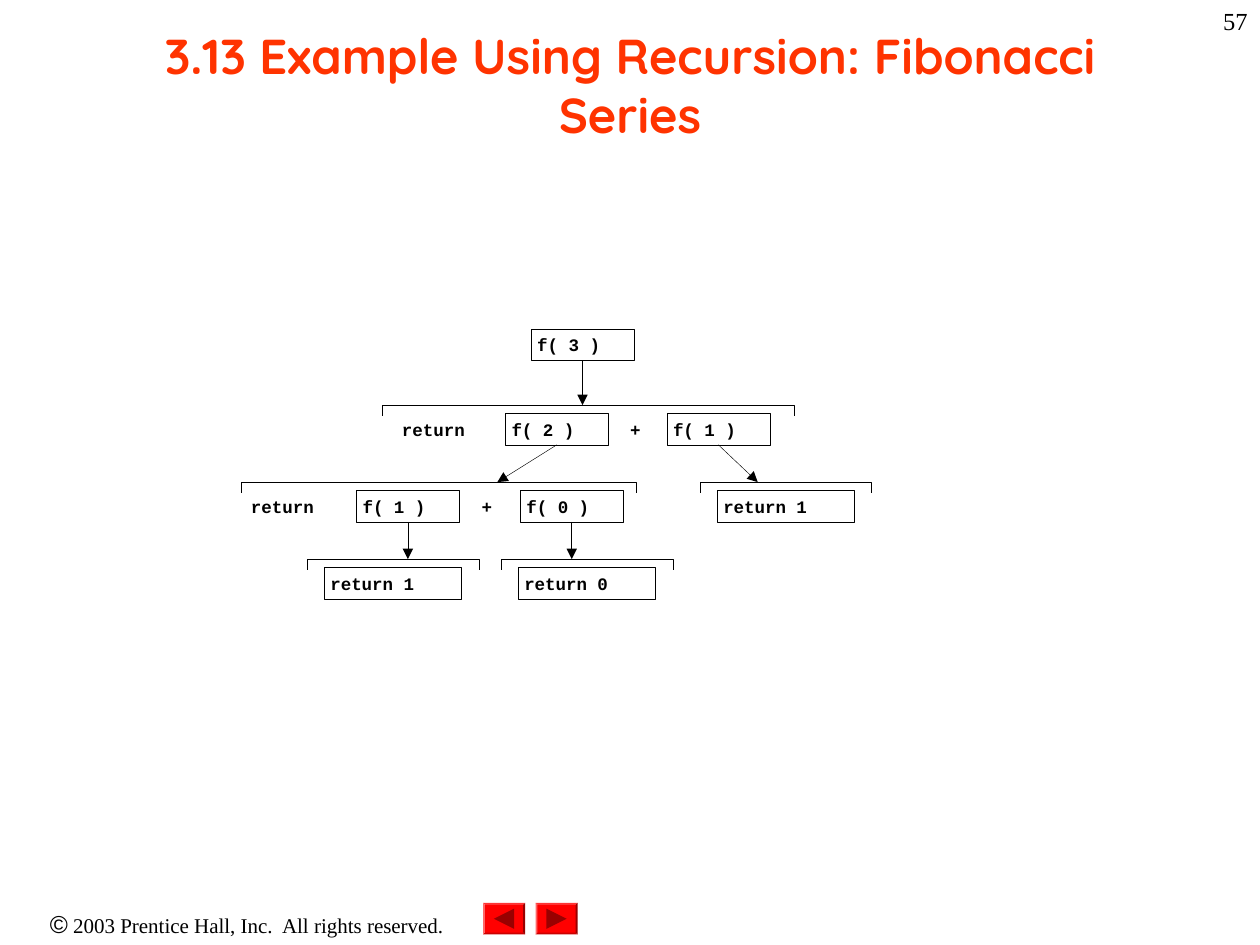
from pptx import Presentation
from pptx.dml.color import RGBColor
from pptx.enum import shapes, text
from pptx.oxml import parse_xml
from pptx.oxml.ns import nsdecls
from pptx.util import Pt

THEME = {
    "ink": "000000", "title": "FF3300", "button": "FF0000", "glyph": "990000",
    "head": ("Quicksand", 28), "code": ("Courier New", 10),
    "body": ("Times New Roman", 12), "page": ("Times New Roman", 14),
    "mark": ("Arial", 14), "rule": 0.25,
}
TITLE = "3.13 Example Using Recursion: Fibonacci Series"
RIGHTS = [("©", "mark"), (" 2003 Prentice Hall, Inc.  All rights reserved.", "body")]
PAGE = "57"

ROWS = [188, 236.2, 280.2, 324.2]
HIGH, LIFT, DROP = 18, 4.7, 6
CALL, VALUE = 59, 78.5

BOXES = {
    "f3": ("f( 3 )", 0, 303.4, CALL),
    "f2": ("f( 2 )", 1, 288.7, CALL),
    "f1": ("f( 1 )", 1, 381, CALL),
    "f21": ("f( 1 )", 2, 203.6, CALL),
    "f20": ("f( 0 )", 2, 297.2, CALL),
    "r1": ("return 1", 2, 409.7, VALUE),
    "r21": ("return 1", 3, 185.2, VALUE),
    "r20": ("return 0", 3, 296, VALUE),
}
LABELS = [("return", 1, 229.7), ("+", 1, 360), ("return", 2, 143.4), ("+", 2, 275.2)]
SPANS = [(1, 218.3, 235.5), (2, 138, 225.5), (2, 400, 98), (3, 175.6, 98), (3, 286.5, 98)]
ARROWS = [("f3", 0), ("f2", -34), ("f1", 22.5), ("f21", 0), ("f20", 0)]
BUTTONS = [(276, -90), (306, 90)]

deck = Presentation()
deck.slide_width, deck.slide_height = Pt(720), Pt(540)
slide = deck.slides.add_slide(deck.slide_layouts[6])
pen = slide.shapes


def tint(name):
    return RGBColor.from_string(THEME[name])


def style(font, kind, color="ink", bold=False):
    font.name, size = THEME[kind]
    font.size = Pt(size)
    font.bold = bold
    font.color.rgb = tint(color)


def ink(line):
    line.color.rgb = tint("ink")
    line.width = Pt(THEME["rule"])


def write(shape, words, kind, align, pad=(7.2, 3.6), color="ink", bold=False):
    frame = shape.text_frame
    frame.word_wrap = True
    frame.margin_left = frame.margin_right = Pt(pad[0])
    frame.margin_top = frame.margin_bottom = Pt(pad[1])
    para = frame.paragraphs[0]
    para.alignment = align
    para.text = words
    style(para.font, kind, color, bold)
    return frame


def place(x, y, wide, high):
    return pen.add_textbox(Pt(x), Pt(y), Pt(wide), Pt(high))


def code(shape, words, pad):
    frame = write(shape, words, "code", text.PP_ALIGN.LEFT, (pad, 0), bold=True)
    frame.vertical_anchor = text.MSO_ANCHOR.MIDDLE


def solid(kind, x, y, wide, high, color):
    shape = pen.add_shape(kind, Pt(x), Pt(y), Pt(wide), Pt(high))
    shape.shadow.inherit = False
    shape.fill.solid()
    shape.fill.fore_color.rgb = tint(color)
    shape.line.fill.background()
    return shape


def box(words, row, x, wide):
    shape = pen.add_shape(shapes.MSO_SHAPE.RECTANGLE, Pt(x), Pt(ROWS[row]), Pt(wide), Pt(HIGH))
    shape.shadow.inherit = False
    shape.fill.background()
    ink(shape.line)
    code(shape, words, 3.6)
    return shape


def span(row, x, wide):
    top = ROWS[row] - LIFT
    path = pen.build_freeform(Pt(x), Pt(top + DROP))
    path.add_line_segments(
        [(Pt(x), Pt(top)), (Pt(x + wide), Pt(top)), (Pt(x + wide), Pt(top + DROP))],
        close=False)
    shape = path.convert_to_shape()
    shape.shadow.inherit = False
    shape.fill.background()
    ink(shape.line)


def arrow(name, shift):
    row, x, wide = BOXES[name][1:]
    mid = x + wide / 2
    link = pen.add_connector(
        shapes.MSO_CONNECTOR.STRAIGHT, Pt(mid), Pt(ROWS[row] + HIGH),
        Pt(mid + shift), Pt(ROWS[row + 1] - LIFT))
    link.begin_connect(drawn[name], 2)
    ink(link.line)
    link.line._get_or_add_ln().append(parse_xml(f'<a:tailEnd {nsdecls("a")} type="triangle"/>'))
    link._element.spPr.append(parse_xml(f'<a:effectLst {nsdecls("a")}/>'))


foot = place(0, 516.2, 282.2, 24.5)
line = write(foot, "", "body", text.PP_ALIGN.CENTER).paragraphs[0]
for words, kind in RIGHTS:
    run = line.add_run()
    run.text = words
    style(run.font, kind)

for x, turn in BUTTONS:
    key = solid(shapes.MSO_SHAPE.BEVEL, x, 516, 24, HIGH, "button")
    key.adjustments[0] = 0.06
    solid(shapes.MSO_SHAPE.ISOSCELES_TRIANGLE, x + 6.2, 519.2, 11.6, 11.6, "glyph").rotation = turn

head = write(place(54, 6, 612, 84), TITLE, "head", text.PP_ALIGN.CENTER, color="title", bold=True)
head.vertical_anchor = text.MSO_ANCHOR.MIDDLE

for item in SPANS:
    span(*item)
drawn = {name: box(*item) for name, item in BOXES.items()}
for item in ARROWS:
    arrow(*item)
for words, row, x in LABELS:
    code(place(x, ROWS[row], 13 if words == "+" else 62, HIGH), words, 0)

write(place(570, 0, 150, 36), PAGE, "page", text.PP_ALIGN.RIGHT)

deck.save("out.pptx")
